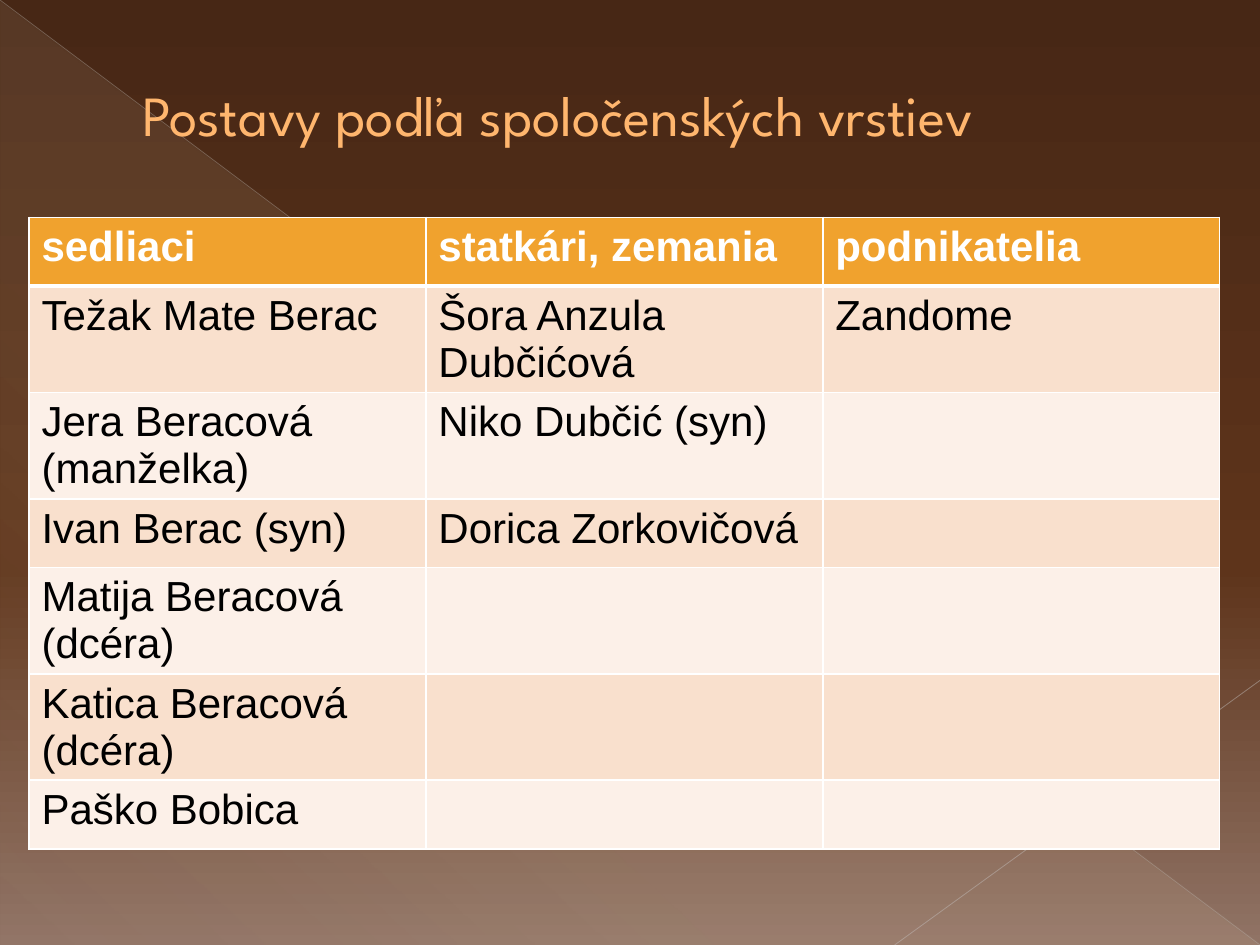
import pptx
import pptx.dml.color
import pptx.enum.shapes
import pptx.enum.text
import pptx.oxml
import pptx.oxml.ns
import pptx.util
from lxml import etree

WIDE, HIGH = pptx.util.Inches(10), pptx.util.Inches(7.5)
qn = pptx.oxml.ns.qn

HEAD = {"name": "Arial", "size": pptx.util.Pt(24), "bold": True}
BODY = {**HEAD, "bold": False}
TITLE = {"name": "League Spartan", "size": pptx.util.Pt(32.4), "bold": False}
BANDS = ["FCF0E8", "F9E0CD"]
ROWS = [
    ["sedliaci", "statkári, zemania", "podnikatelia"],
    ["Težak Mate Berac", "Šora Anzula Dubčićová", "Zandome"],
    ["Jera Beracová (manželka)", "Niko Dubčić (syn)", ""],
    ["Ivan Berac (syn)", "Dorica Zorkovičová", ""],
    ["Matija Beracová (dcéra)", "", ""],
    ["Katica Beracová (dcéra)", "", ""],
    ["Paško Bobica", "", ""],
]


def color(code):
    return pptx.dml.color.RGBColor.from_string(code)


def share(x, y):
    """Turn shares of the slide's size into lengths."""
    return round(x * WIDE), round(y * HIGH)


def style(font, look, code):
    for key, value in look.items():
        setattr(font, key, value)
    font.color.rgb = color(code)


def add(parent, tag, **attrs):
    node = etree.SubElement(parent, qn(tag))
    for key, value in attrs.items():
        node.set(key, str(value))
    return node


def tint(parent, code, alpha=100):
    """Add a colour with its opacity in percent."""
    node = add(parent, "a:srgbClr", val=code)
    if alpha < 100:
        add(node, "a:alpha", val=alpha * 1000)


def blend(fill, root, stops, angle):
    """Fill with a gradient of (place, colour, opacity) stops."""
    fill.gradient()
    grad = root.find(".//" + qn("a:gradFill"))
    row = grad.find(qn("a:gsLst"))
    row.clear()
    for place, code, alpha in stops:
        tint(add(row, "a:gs", pos=place * 1000), code, alpha)
    grad.find(qn("a:lin")).set("ang", str(angle * 60000))


def draw_line(slide, start, end, code, width, alpha):
    line = slide.shapes.add_connector(
        pptx.enum.shapes.MSO_CONNECTOR.STRAIGHT, *share(*start), *share(*end))
    line.line.width = pptx.util.Pt(width)
    line.line.color.rgb = color(code)
    props = line._element.spPr
    add(props.find(".//" + qn("a:srgbClr")), "a:alpha", val=alpha * 1000)
    add(props, "a:effectLst")


def draw_back(slide):
    blend(slide.background.fill, slide._element,
          [(0, "472715", 100), (60, "5E341B", 100), (100, "907365", 100)], 90)
    wedge = slide.shapes.add_shape(
        pptx.enum.shapes.MSO_SHAPE.RIGHT_TRIANGLE, *share(0, 0), WIDE, HIGH)
    wedge.shadow.inherit = False
    wedge.line.fill.background()
    blend(wedge.fill, wedge._element.spPr,
          [(0, "FBEEC9", 10), (70, "FBEEC9", 8), (100, "FBEEC9", 1)], 133)
    draw_line(slide, (0, 0), (1, 1), "BCB7B4", 0.39, 35)
    draw_line(slide, (1, 0.72), (0.71, 1), "C4BFBD", 0.47, 45)


def draw_title(slide, left, top, width, height):
    title = slide.shapes.title
    slide.shapes._spTree.append(title._element)
    title.left, title.top = share(left, top)
    title.width, title.height = share(width, height)
    frame = title.text_frame
    frame.text = "Postavy podľa spoločenských vrstiev"
    frame.word_wrap = True
    frame.vertical_anchor = pptx.enum.text.MSO_ANCHOR.MIDDLE
    para = frame.paragraphs[0]
    para.alignment = pptx.enum.text.PP_ALIGN.LEFT
    props = para._p.get_or_add_pPr()
    props.set("marL", str(pptx.util.Inches(0.53)))
    props.set("indent", "0")
    font = para.runs[0].font
    style(font, TITLE, "FFB66E")
    edge = add(font._element, "a:ln", w=pptx.util.Pt(0.5))
    tint(add(edge, "a:solidFill"), "A67020")
    font._element.insert(0, edge)


def draw_cell(cell, text, row):
    props = cell._tc.get_or_add_tcPr()
    for side in "LRTB":
        thick = 3 if (row, side) in [(0, "B"), (1, "T")] else 1
        edge = add(props, "a:ln" + side, w=pptx.util.Pt(thick))
        tint(add(edge, "a:solidFill"), "FFFFFF")
    cell.fill.solid()
    cell.fill.fore_color.rgb = color(BANDS[row % 2] if row else "F0A22E")
    cell.text = text
    look, code = (BODY, "000000") if row else (HEAD, "FFFFFF")
    style(cell.text_frame.paragraphs[0].font, look, code)


def draw_table(slide, left, top, width, height):
    table = slide.shapes.add_table(
        len(ROWS), len(ROWS[0]), *share(left, top), *share(width, height)).table
    for row, texts in enumerate(ROWS):
        for col, text in enumerate(texts):
            draw_cell(table.cell(row, col), text, row)


def main():
    deck = pptx.Presentation()
    deck.slide_width, deck.slide_height = WIDE, HIGH
    slide = deck.slides.add_slide(deck.slide_layouts[5])
    draw_back(slide)
    draw_title(slide, 0.05, 0.04, 0.9, 0.16)
    draw_table(slide, 0.023, 0.23, 0.945, 0.51)
    deck.save("out.pptx")


if __name__ == "__main__":
    main()
